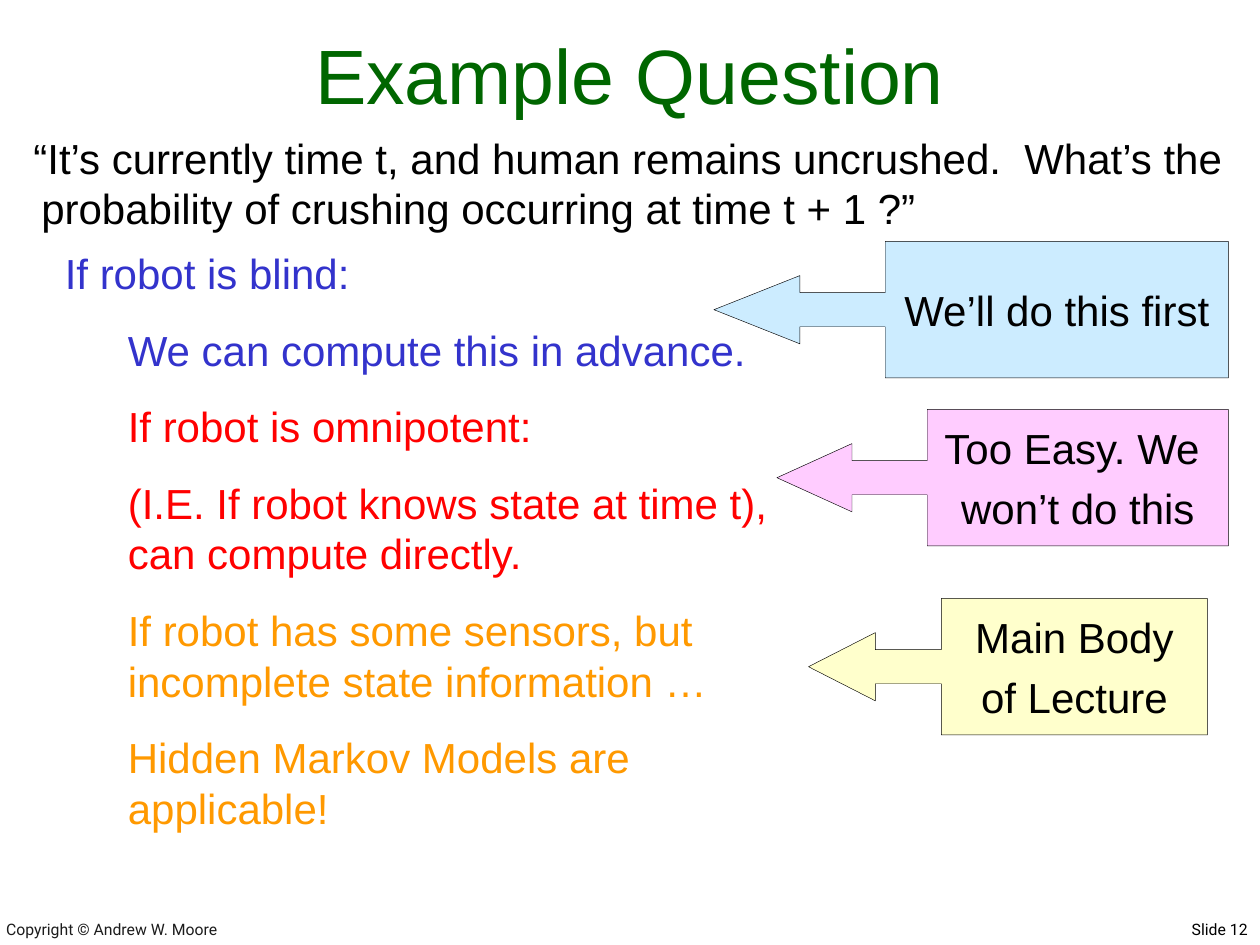
from dataclasses import dataclass

from pptx import Presentation
from pptx.dml.color import RGBColor
from pptx.enum.shapes import MSO_SHAPE
from pptx.enum.text import MSO_ANCHOR, PP_ALIGN
from pptx.util import Pt

CALLOUT = MSO_SHAPE.LEFT_ARROW_CALLOUT
TOP, MIDDLE, BOTTOM = MSO_ANCHOR.TOP, MSO_ANCHOR.MIDDLE, MSO_ANCHOR.BOTTOM
LEFT, CENTER, RIGHT = PP_ALIGN.LEFT, PP_ALIGN.CENTER, PP_ALIGN.RIGHT


@dataclass(frozen=True)
class Theme:
    font: str = "Arial"
    foot_font: str = "Roboto"
    title_size: int = 44
    text_size: int = 24
    foot_size: int = 9
    ink: str = "000000"
    foot: str = "1C1C1C"
    title: str = "006600"
    blind: str = "3333CC"
    omni: str = "FF0000"
    sensor: str = "FF9900"
    blue: str = "CCECFF"
    pink: str = "FFCCFF"
    cream: str = "FFFFCC"


THEME = Theme()

CASES = [
    (THEME.blind, "If robot is blind:", "We can compute this in advance."),
    (THEME.omni, "If robot is omnipotent:",
     "(I.E. If robot knows state at time t), can compute directly."),
    (THEME.sensor, "If robot has some sensors, but incomplete state information …",
     "Hidden Markov Models are applicable!"),
]

# left, top, width, head length, fill, lines
NOTES = [
    (408, 138, 294, 0.63, THEME.blue, ["We’ll do this first"]),
    (444, 234, 258, 0.55, THEME.pink, ["Too Easy. We ", "won’t do this"]),
    (462, 342, 228, 0.49, THEME.cream, ["Main Body", "of Lecture"]),
]


def style(para, text, color=THEME.ink, size=THEME.text_size,
          name=THEME.font, align=LEFT):
    para.text = text
    para.alignment = align
    font = para.font
    font.name, font.size = name, Pt(size)
    font.color.rgb = RGBColor.from_string(color)


def add_paras(frame, lines, gap):
    """Yield one paragraph per line, with a gap before all but the first."""
    for i, line in enumerate(lines):
        para = frame.add_paragraph() if i else frame.paragraphs[0]
        if i:
            para.space_before = Pt(gap)
        yield para, line


def add_box(slide, left, top, width, height, anchor=TOP):
    box = slide.shapes.add_textbox(Pt(left), Pt(top), Pt(width), Pt(height))
    frame = box.text_frame
    frame.word_wrap = True
    frame.vertical_anchor = anchor
    return frame


def add_cases(slide):
    frame = add_box(slide, 30, 138, 438, 341)
    lines = [(color, text) for color, *texts in CASES for text in texts]
    for i, (para, (color, text)) in enumerate(add_paras(frame, lines, 15)):
        if i:
            para._p.get_or_add_pPr().set("marL", str(Pt(36)))
        style(para, text, color)


def add_note(slide, left, top, width, head, fill, lines):
    note = slide.shapes.add_shape(CALLOUT, Pt(left), Pt(top), Pt(width), Pt(78))
    for i, value in enumerate((0.25, 0.25, head, 0.667)):
        note.adjustments[i] = value
    note.shadow.inherit = False
    note.fill.solid()
    note.fill.fore_color.rgb = RGBColor.from_string(fill)
    note.line.color.rgb = RGBColor.from_string(THEME.ink)
    note.line.width = Pt(0.25)
    frame = note.text_frame
    frame.word_wrap = False
    frame.vertical_anchor = MIDDLE
    for para, line in add_paras(frame, lines, 6):
        style(para, line, align=CENTER)


def add_quote(slide):
    para = add_box(slide, 12, 72, 696, 72).paragraphs[0]
    props = para._p.get_or_add_pPr()
    props.set("marL", str(Pt(4.5)))
    props.set("indent", str(Pt(-4.5)))
    style(para, "“It’s currently time t, and human remains uncrushed.  What’s "
                "the probability of crushing occurring at time t + 1 ?”")


def add_foot(slide):
    small = {"size": THEME.foot_size, "name": THEME.foot_font}
    credit = add_box(slide, -3.6, 520, 400, 20, BOTTOM)
    style(credit.paragraphs[0], "Copyright © Andrew W. Moore", THEME.foot, **small)
    number = add_box(slide, 438, 522, 282, 19)
    style(number.paragraphs[0], "Slide 12", align=RIGHT, **small)


def main():
    deck = Presentation()
    deck.slide_width, deck.slide_height = Pt(720), Pt(540)
    slide = deck.slides.add_slide(deck.slide_layouts[6])
    add_foot(slide)
    title = add_box(slide, 12, 12, 696, 60, BOTTOM)
    style(title.paragraphs[0], "Example Question", THEME.title,
          THEME.title_size, align=CENTER)
    add_quote(slide)
    add_cases(slide)
    for note in NOTES:
        add_note(slide, *note)
    deck.save("out.pptx")


if __name__ == "__main__":
    main()
